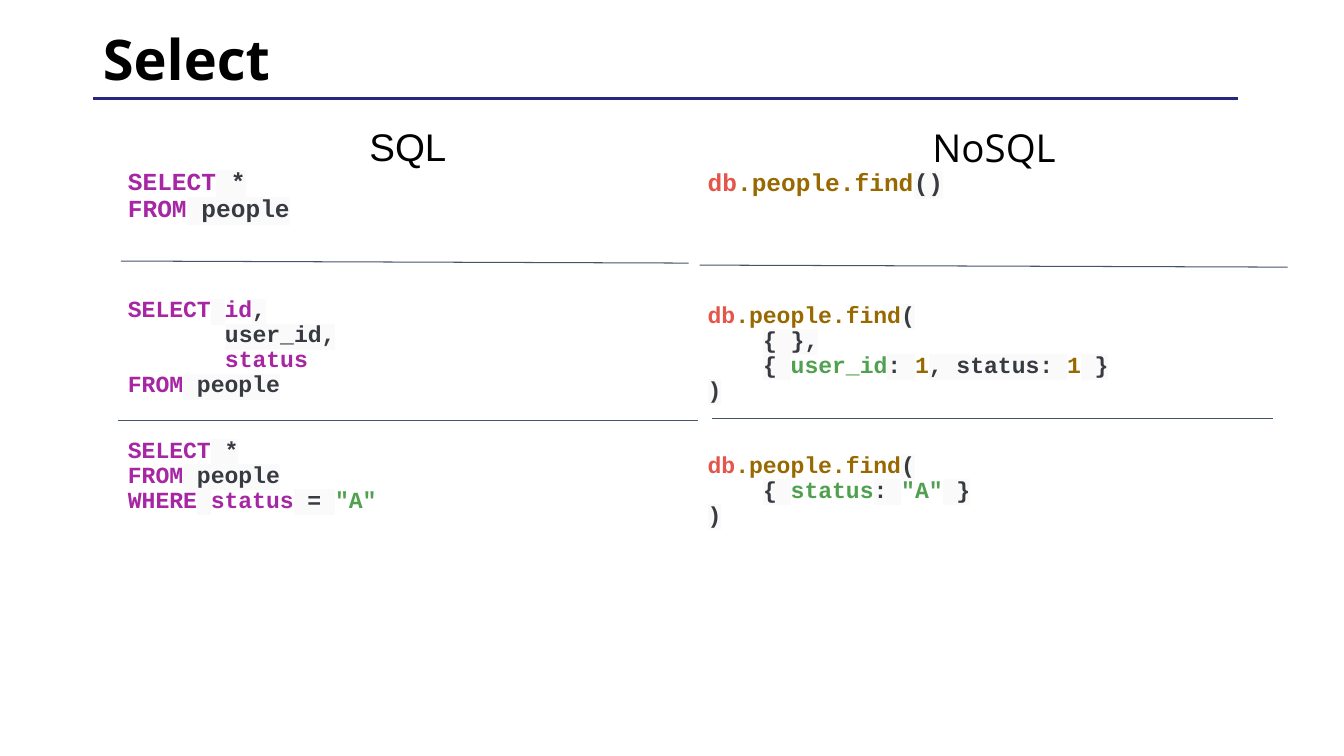
import dataclasses
import enum

import pptx
import pptx.dml.color
import pptx.enum.shapes
import pptx.enum.text
import pptx.oxml
import pptx.oxml.ns
import pptx.util
from pptx.util import Inches

CODE_FONT = "Courier New"
MONO_ADVANCE = 0.6  # character width as a share of the font size
PLAIN_HIGHLIGHT = "FAFAFA"


class Ink(enum.Enum):
    KEYWORD = "A626A4"
    PLAIN = "383A42"
    STRING = "50A14F"
    NUMBER = "986801"
    DATABASE = "E45649"


@dataclasses.dataclass(frozen=True)
class Token:
    text: str
    ink: Ink


@dataclasses.dataclass(frozen=True)
class CodeLine:
    tokens: list[Token]
    indent: int = 0


@dataclasses.dataclass(frozen=True)
class Query:
    lines: list[CodeLine]
    size: float = 16.5
    gap: float = 0


@dataclasses.dataclass(frozen=True)
class Column:
    heading: str
    heading_font: str
    heading_gap: float
    box: tuple[float, float, float, float]
    queries: list[Query]


@dataclasses.dataclass(frozen=True)
class Rule:
    start: tuple[float, float]
    end: tuple[float, float]
    color: str = "44546A"
    width: float = 0.75


def keyword(text: str) -> Token:
    return Token(text, Ink.KEYWORD)


def plain(text: str) -> Token:
    return Token(text, Ink.PLAIN)


def string(text: str) -> Token:
    return Token(text, Ink.STRING)


def number(text: str) -> Token:
    return Token(text, Ink.NUMBER)


def find_call(opening: str) -> CodeLine:
    return CodeLine([Token("db", Ink.DATABASE), number(".people.find"), plain(opening)])


FROM_PEOPLE = CodeLine([keyword("FROM"), plain(" people")])
SELECT_ALL = CodeLine([keyword("SELECT"), plain(" *")])
CLOSING = CodeLine([plain(")")])

COLUMNS = [
    Column("SQL", "Arial", 10, (1.17, 1.22, 5.75, 5.88), [
        Query([SELECT_ALL, FROM_PEOPLE], size=17.5),
        Query([
            CodeLine([keyword("SELECT"), plain(" "), keyword("id"), plain(",")]),
            CodeLine([plain("user_id,")], indent=7),
            CodeLine([keyword("status")], indent=7),
            FROM_PEOPLE,
        ], gap=54),
        Query([
            SELECT_ALL,
            FROM_PEOPLE,
            CodeLine([keyword("WHERE"), plain(" "), keyword("status"), plain(" = "), string('"A"')]),
        ], gap=29),
    ]),
    Column("NoSQL", "Open Sans", 0, (6.92, 1.23, 5.88, 5.55), [
        Query([find_call("()")], size=17.5),
        Query([
            find_call("("),
            CodeLine([plain("{ },")], indent=4),
            CodeLine([plain("{ "), string("user_id"), plain(": "), number("1"),
                      plain(", status: "), number("1"), plain(" }")], indent=4),
            CLOSING,
        ], gap=76),
        Query([
            find_call("("),
            CodeLine([plain("{ "), string("status"), plain(": "), string('"A"'), plain(" }")], indent=4),
            CLOSING,
        ], gap=36),
    ]),
]

RULES = [
    Rule((12.28, 0.98), (0.92, 0.98), "272780", 2),
    Rule((6.94, 2.63), (12.77, 2.65)),
    Rule((1.17, 4.17), (6.92, 4.17)),
    Rule((1.2, 2.59), (6.83, 2.61)),
    Rule((7.06, 4.15), (12.63, 4.15)),
]


def rgb(color: str) -> pptx.dml.color.RGBColor:
    return pptx.dml.color.RGBColor.from_string(color)


def apply_format(target, values: dict) -> None:
    for name, value in values.items():
        setattr(target, name, value)


def add_run(paragraph, text: str, font: str, size: float, color: str, bold: bool) -> None:
    run = paragraph.add_run()
    run.text = text
    apply_format(run.font, {"name": font, "size": pptx.util.Pt(size), "bold": bold})
    run.font.color.rgb = rgb(color)
    if color == Ink.PLAIN.value:
        highlight = pptx.oxml.parse_xml(
            f'<a:highlight {pptx.oxml.ns.nsdecls("a")}><a:srgbClr val="{PLAIN_HIGHLIGHT}"/></a:highlight>')
        run.font.fill._xPr.find(pptx.oxml.ns.qn("a:solidFill")).addnext(highlight)


def format_paragraph(paragraph, gap: float = 0, alignment=pptx.enum.text.PP_ALIGN.LEFT) -> None:
    apply_format(paragraph, {"line_spacing": 0.9, "space_before": pptx.util.Pt(gap),
                             "space_after": pptx.util.Pt(0), "alignment": alignment})


def add_column(slide, column: Column) -> None:
    frame = slide.shapes.add_textbox(*map(Inches, column.box)).text_frame
    frame.word_wrap = True
    heading = frame.paragraphs[0]
    format_paragraph(heading, column.heading_gap, pptx.enum.text.PP_ALIGN.CENTER)
    add_run(heading, column.heading, column.heading_font, 27.5, "000000", False)
    for query in column.queries:
        for index, line in enumerate(query.lines):
            paragraph = frame.add_paragraph()
            format_paragraph(paragraph, 0 if index else query.gap)
            if line.indent:
                margin = pptx.util.Pt(line.indent * query.size * MONO_ADVANCE)
                paragraph._p.get_or_add_pPr().set("marL", str(margin))
            for token in line.tokens:
                add_run(paragraph, token.text, CODE_FONT, query.size, token.ink.value, True)


def add_rule(slide, rule: Rule) -> None:
    connector = slide.shapes.add_connector(
        pptx.enum.shapes.MSO_CONNECTOR.STRAIGHT, *map(Inches, rule.start + rule.end))
    connector.line.color.rgb = rgb(rule.color)
    connector.line.width = pptx.util.Pt(rule.width)
    connector._element.spPr.append(
        pptx.oxml.parse_xml(f'<a:effectLst {pptx.oxml.ns.nsdecls("a")}/>'))


def add_title(slide, text: str) -> None:
    title = slide.shapes.title
    apply_format(title, {"left": Inches(0.92), "top": Inches(0.17),
                         "width": Inches(11.5), "height": Inches(0.89)})
    title.text_frame.vertical_anchor = pptx.enum.text.MSO_ANCHOR.MIDDLE
    paragraph = title.text_frame.paragraphs[0]
    format_paragraph(paragraph)
    add_run(paragraph, text, "Open Sans", 40, "000000", True)


def main() -> None:
    presentation = pptx.Presentation()
    apply_format(presentation, {"slide_width": Inches(13.33), "slide_height": Inches(7.5)})
    slide = presentation.slides.add_slide(presentation.slide_layouts.get_by_name("Title Only"))
    add_title(slide, "Select")
    for column in COLUMNS:
        add_column(slide, column)
    for rule in RULES:
        add_rule(slide, rule)
    presentation.save("out.pptx")


if __name__ == "__main__":
    main()
